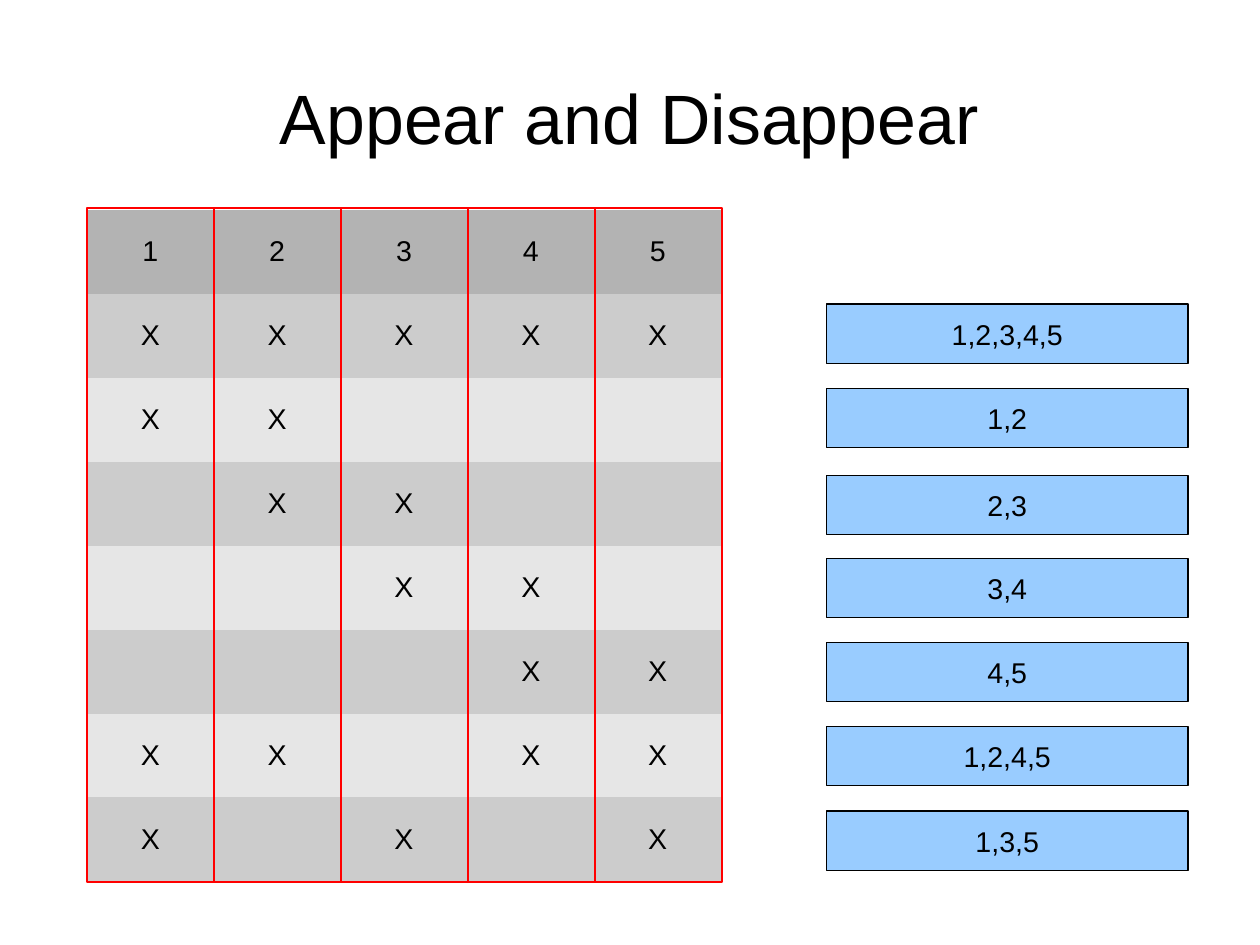
import pptx
import pptx.util
import pptx.dml.color
import pptx.enum.shapes
import pptx.enum.text

Pt = pptx.util.Pt
RECT = pptx.enum.shapes.MSO_SHAPE.RECTANGLE
MIDDLE = pptx.enum.text.MSO_ANCHOR.MIDDLE
CENTER = pptx.enum.text.PP_ALIGN.CENTER
PLAIN = "{2D5ABB26-0587-4C30-8999-92F81FD0307C}"


def color(code):
    return pptx.dml.color.RGBColor.from_string(code)


def write(frame, text, size):
    para = frame.paragraphs[0]
    para.alignment = CENTER
    run = para.add_run()
    run.text = text
    style = {"name": "Arial", "size": Pt(size), "bold": False}
    for key, value in style.items():
        setattr(run.font, key, value)
    run.font.color.rgb = color("000000")


deck = pptx.Presentation()
deck.slide_width, deck.slide_height = Pt(793.7), Pt(595.28)
slide = deck.slides.add_slide(deck.slide_layouts[6])
shapes = slide.shapes

# Title
title = shapes.add_textbox(Pt(39.6), Pt(23.8), Pt(714.2), Pt(99.4)).text_frame
layout = {"word_wrap": True, "vertical_anchor": MIDDLE, "margin_left": 0,
          "margin_right": 0, "margin_top": 0, "margin_bottom": 0}
for key, value in layout.items():
    setattr(title, key, value)
write(title, "Appear and Disappear", 44)

# Top edge of each blue box and the columns marked in its row
sets = [(191.5, "1,2,3,4,5"), (244.6, "1,2"), (299.4, "2,3"), (351.6, "3,4"),
        (404.5, "4,5"), (457.5, "1,2,4,5"), (510.9, "1,3,5")]
heads = ["1", "2", "3", "4", "5"]
left, top, wide, high = 54.7, 132.1, 79.92, 52.92

# Table of marks
rows = [heads]
for edge, label in sets:
    rows.append(["X" if head in label else "" for head in heads])
table = shapes.add_table(len(rows), len(heads), Pt(left), Pt(top),
                         Pt(wide * len(heads)), Pt(high * len(rows))).table
table._tbl.tblPr[0].text = PLAIN
for col in table.columns:
    col.width = Pt(wide)
for r, row in enumerate(rows):
    table.rows[r].height = Pt(high)
    shade = "B3B3B3" if r == 0 else ("E6E6E6", "CCCCCC")[r % 2]
    for c, mark in enumerate(row):
        cell = table.cell(r, c)
        cell.fill.solid()
        cell.fill.fore_color.rgb = color(shade)
        cell.vertical_anchor = MIDDLE
        if mark:
            write(cell.text_frame, mark, 18)

# Red column frames
for c in range(len(heads)):
    frame = shapes.add_shape(RECT, Pt(left + c * 80.05), Pt(131.2),
                             Pt(80.05), Pt(424.6))
    frame.shadow.inherit = False
    frame.fill.background()
    frame.line.color.rgb = color("FF0000")
    frame.line.width = Pt(1.45)

# Blue set boxes
for edge, label in sets:
    box = shapes.add_shape(RECT, Pt(520.6), Pt(edge), Pt(227.8), Pt(37.6))
    box.shadow.inherit = False
    box.fill.solid()
    box.fill.fore_color.rgb = color("99CCFF")
    box.line.color.rgb = color("000000")
    box.line.width = Pt(0)
    box.text_frame.vertical_anchor = MIDDLE
    write(box.text_frame, label, 18)

deck.save("out.pptx")
